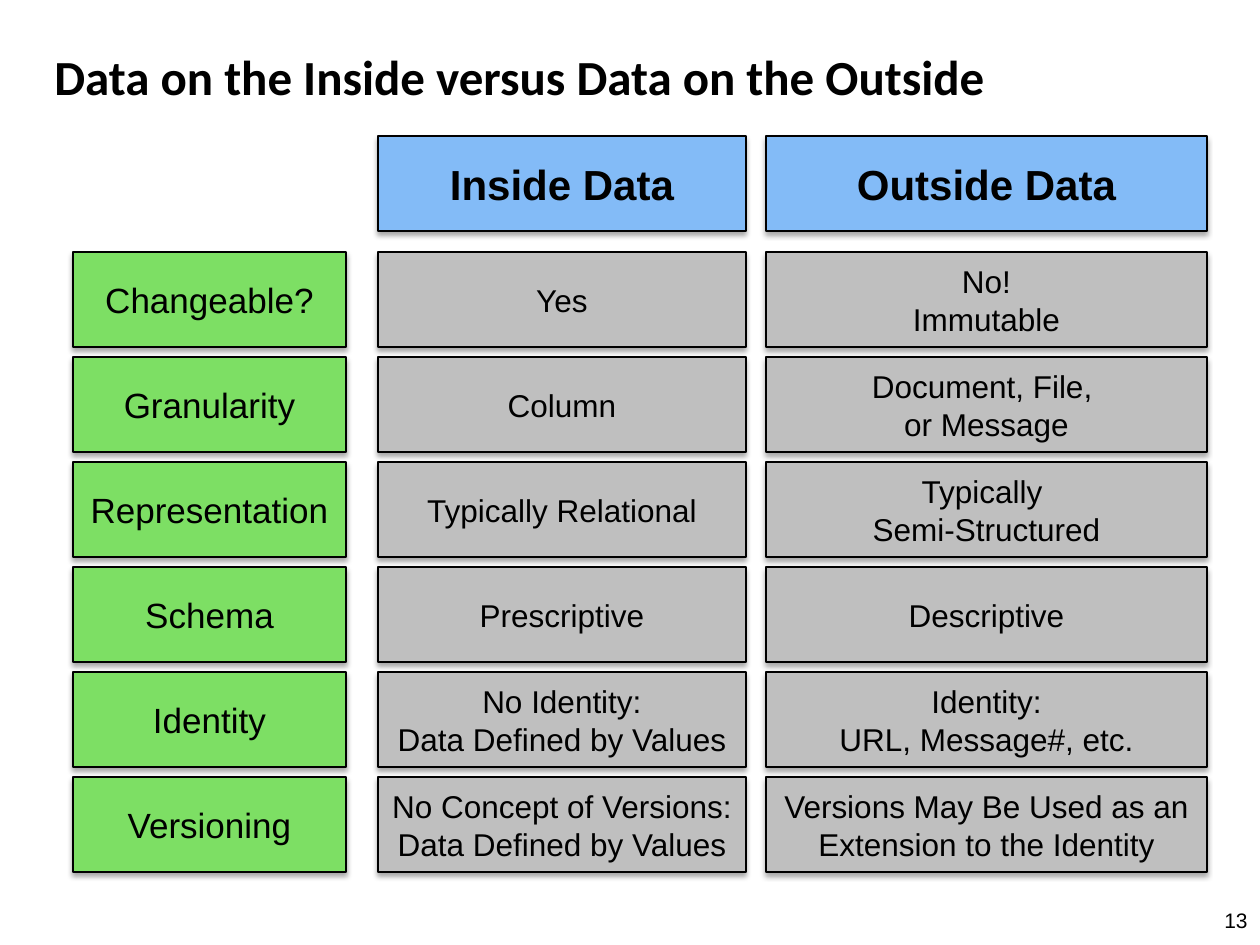
from lxml.etree import SubElement
from pptx import Presentation
from pptx.dml.color import RGBColor
from pptx.enum.shapes import MSO_SHAPE as Shape
from pptx.enum.text import MSO_ANCHOR as Anchor, PP_ALIGN as Align
from pptx.oxml.ns import qn
from pptx.util import Inches, Pt

# Content: "\n" starts a paragraph, "\v" breaks a line
TITLE = "Data on the Inside versus Data on the Outside"
PAGE_NUMBER = "13"
HEADERS = ["Inside Data", "Outside Data"]
ROWS = [
    ("Changeable?", "Yes", "No!\nImmutable"),
    ("Granularity", "Column", "Document, File, \vor Message"),
    ("Representation", "Typically Relational", "Typically \vSemi-Structured"),
    ("Schema", "Prescriptive", "Descriptive"),
    ("Identity", "No Identity:\nData Defined by Values",
     "Identity:\vURL, Message#, etc."),
    ("Versioning", "No Concept of Versions:\nData Defined by Values",
     "Versions May Be Used as an Extension to the Identity"),
]
COLORS = {"text": "000000", "header": "83BBF7", "aspect": "7DDF64", "value": "BFBFBF"}

# Layout in px
PX = Inches(1) / 126
COLUMNS = [(73, 273), (378, 368), (766, 441)]  # left, width
HEADER_TOP, FIRST_ROW_TOP, ROW_STEP, BOX_HEIGHT = 136, 252, 105, 95


def px(*lengths):
    return [round(length * PX) for length in lengths]


def color(key):
    return RGBColor.from_string(COLORS[key])


def write(shape, text, size, align, font="Arial", bold=False):
    frame = shape.text_frame
    frame.word_wrap = True
    frame.vertical_anchor = Anchor.MIDDLE
    frame.text = text
    for paragraph in frame.paragraphs:
        paragraph.alignment = align
        paragraph.font.name = font
        paragraph.font.size = Pt(size)
        paragraph.font.bold = bold
        paragraph.font.color.rgb = color("text")


def add_shadow(shape):
    shape.shadow.inherit = False
    effects = shape._element.spPr.find(qn("a:effectLst"))
    shadow = SubElement(effects, qn("a:outerShdw"), blurRad=str(Pt(3.1)),
                        dist=str(Pt(1.8)), dir="5400000", rotWithShape="0")
    tint = SubElement(shadow, qn("a:srgbClr"), val=COLORS["text"])
    SubElement(tint, qn("a:alpha"), val="35000")


def add_box(column, top, text, fill, size, bold=False):
    left, width = COLUMNS[column]
    box = slide.shapes.add_shape(Shape.RECTANGLE, *px(left, top, width, BOX_HEIGHT))
    box.fill.solid()
    box.fill.fore_color.rgb = color(fill)
    box.line.color.rgb = color("text")
    box.line.width = Pt(0.75)
    add_shadow(box)
    write(box, text, size, Align.CENTER, bold=bold)


deck = Presentation()
deck.slide_width, deck.slide_height = px(1260, 945)
slide = deck.slides.add_slide(deck.slide_layouts[6])

# Title and page number
title = slide.shapes.add_textbox(*px(42, 21, 1134, 110))
write(title, TITLE, 28, Align.LEFT, font="Calibri", bold=True)
page_number = slide.shapes.add_textbox(*px(1113, 895, 147, 50))
write(page_number, PAGE_NUMBER, 12, Align.RIGHT)

# Column headers
for column, header in enumerate(HEADERS, start=1):
    add_box(column, HEADER_TOP, header, "header", 24, bold=True)

# Comparison rows
for row, (aspect, *values) in enumerate(ROWS):
    top = FIRST_ROW_TOP + row * ROW_STEP
    add_box(0, top, aspect, "aspect", 20)
    for column, value in enumerate(values, start=1):
        add_box(column, top, value, "value", 18)

deck.save("out.pptx")
